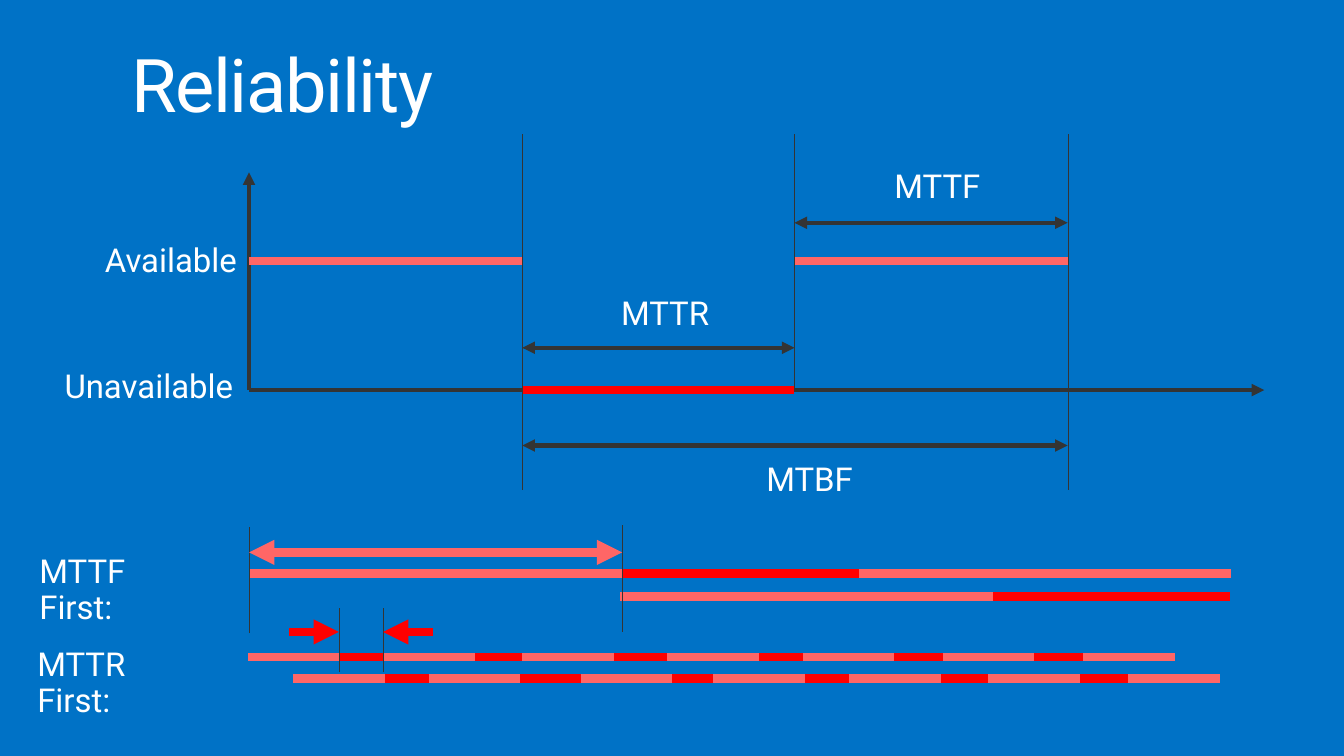
from lxml import etree
from pptx import Presentation
from pptx.dml.color import RGBColor
from pptx.enum.shapes import MSO_CONNECTOR
from pptx.enum.text import MSO_ANCHOR, PP_ALIGN
from pptx.oxml.ns import qn
from pptx.util import Inches, Pt

BLUE = RGBColor(0x00, 0x72, 0xC6)
WHITE = RGBColor(0xFF, 0xFF, 0xFF)
DARK = RGBColor(0x34, 0x34, 0x34)
PINK = RGBColor(0xFF, 0x66, 0x66)
RED = RGBColor(0xFF, 0x00, 0x00)
FONT = "Roboto"

TITLE = "Reliability"

# Moments on the time axis, and levels of the upper diagram
START, FAILURE, REPAIRED, NEXT_FAILURE, AXIS_END = 2.47, 5.18, 7.88, 10.59, 12.54
AXIS_TOP, AVAILABLE, UNAVAILABLE = 1.71, 2.59, 3.87
GUIDE_TOP, GUIDE_BOTTOM = 1.33, 4.86

# Text, left, top, width
LABELS = [
    ("MTTF", 8.67, 1.53, 1.31),
    ("MTTR", 5.96, 2.79, 1.31),
    ("MTBF", 7.4, 4.43, 1.31),
    ("Available", 0.84, 2.26, 1.78),
    ("Unavailable", 0.44, 3.51, 4.14),
    ("MTTF First:", 0.19, 5.35, 1.95),
    ("MTTR First:", 0.17, 6.27, 1.95),
]

AXES = [
    (START, UNAVAILABLE, AXIS_END, UNAVAILABLE),
    (START, UNAVAILABLE, START, AXIS_TOP),
]
# Colour, level, from, to
STATES = [
    (PINK, AVAILABLE, START, FAILURE),
    (RED, UNAVAILABLE, FAILURE, REPAIRED),
    (PINK, AVAILABLE, REPAIRED, NEXT_FAILURE),
]
# Level, from, to
SPANS = [
    (2.21, REPAIRED, NEXT_FAILURE),
    (3.45, FAILURE, REPAIRED),
    (4.42, FAILURE, NEXT_FAILURE),
]
# Moment, bottom, top
GUIDES = [
    (FAILURE, GUIDE_BOTTOM, GUIDE_TOP),
    (REPAIRED, UNAVAILABLE, GUIDE_TOP),
    (NEXT_FAILURE, GUIDE_BOTTOM, GUIDE_TOP),
    (2.47, 6.28, 5.23),
    (6.17, 6.27, 5.21),
    (3.36, 6.67, 6.03),
    (3.8, 6.67, 6.03),
]

# MTTF first: long uptime, long repair
MTTF_FIRST = [
    (PINK, 5.69, 2.47, 6.17),
    (RED, 5.69, 6.17, 8.52),
    (PINK, 5.69, 8.52, 12.21),
    (PINK, 5.92, 6.15, 9.85),
    (RED, 5.92, 9.85, 12.2),
]
# MTTR first: a red row (level, from, to) under short uptimes (their starts)
UPTIME = 0.91
MTTR_FIRST = [
    (6.73, 3.8, 11.38, [2.91, 4.25, 5.76, 7.07, 8.42, 9.8, 11.19]),
    (6.52, 3.31, 11.19, [2.46, 3.8, 5.18, 6.62, 7.96, 9.35, 10.74]),
]
# Colour, level, from, to, arrowhead at both ends
BOLD_ARROWS = [
    (PINK, 5.48, 2.47, 6.17, True),
    (RED, 6.27, 2.87, 3.36, False),
    (RED, 6.27, 4.29, 3.8, False),
]


def add_line(slide, x1, y1, x2, y2, color, width, arrows=()):
    """Draw a line; arrows names its ends: headEnd (start), tailEnd (finish)."""
    line = slide.shapes.add_connector(
        MSO_CONNECTOR.STRAIGHT, Inches(x1), Inches(y1), Inches(x2), Inches(y2))
    line.line.color.rgb = color
    line.line.width = Pt(width)
    outline = line.line._get_or_add_ln()
    for end in arrows:
        etree.SubElement(outline, qn(f"a:{end}"), type="triangle")
    etree.SubElement(line._element.spPr, qn("a:effectLst"))


def set_text(shape, text, size, insets, space_after):
    frame = shape.text_frame
    frame.text = text
    side, top = insets
    frame_format = {
        "word_wrap": True, "vertical_anchor": MSO_ANCHOR.TOP,
        "margin_left": Inches(side), "margin_right": Inches(side),
        "margin_top": Inches(top), "margin_bottom": Inches(top),
    }
    paragraph = frame.paragraphs[0]
    paragraph_format = {
        "alignment": PP_ALIGN.LEFT, "line_spacing": 0.9,
        "space_before": Pt(0), "space_after": Pt(space_after),
    }
    font = paragraph.runs[0].font
    font_format = {"name": FONT, "size": Pt(size), "bold": False}
    for target, values in ((frame, frame_format), (paragraph, paragraph_format),
                           (font, font_format)):
        for name, value in values.items():
            setattr(target, name, value)
    font.color.rgb = WHITE
    return font


def add_title(slide):
    title = slide.shapes.title
    place = {"left": 1.22, "top": 0.38, "width": 12.11, "height": 1.05}
    for name, value in place.items():
        setattr(title, name, Inches(value))
    font = set_text(title, TITLE, 52.9, (0.08, 0.1), 0)
    font._element.set("spc", "-100")


def add_diagram(slide):
    both = ("headEnd", "tailEnd")
    for axis in AXES:
        add_line(slide, *axis, DARK, 3, ("tailEnd",))
    for color, level, begin, end in STATES + MTTF_FIRST:
        add_line(slide, begin, level, end, level, color, 6)
    for level, begin, end, uptimes in MTTR_FIRST:
        add_line(slide, begin, level, end, level, RED, 6)
        for uptime in uptimes:
            add_line(slide, uptime, level, uptime + UPTIME, level, PINK, 6)
    for moment, bottom, top in GUIDES:
        add_line(slide, moment, bottom, moment, top, DARK, 0.25)
    for level, begin, end in SPANS:
        add_line(slide, begin, level, end, level, DARK, 3, both)
    for color, level, begin, end, double in BOLD_ARROWS:
        add_line(slide, begin, level, end, level, color, 6,
                 both if double else ("tailEnd",))


def main():
    deck = Presentation()
    deck.slide_width, deck.slide_height = Inches(13.33), Inches(7.5)
    slide = deck.slides.add_slide(deck.slide_layouts[5])
    slide.background.fill.solid()
    slide.background.fill.fore_color.rgb = BLUE
    add_title(slide)
    add_diagram(slide)
    for text, left, top, width in LABELS:
        label = slide.shapes.add_textbox(
            Inches(left), Inches(top), Inches(width), Inches(0.67))
        set_text(label, text, 23.5, (0.2, 0.16), 5.9)
    deck.save("out.pptx")


if __name__ == "__main__":
    main()
